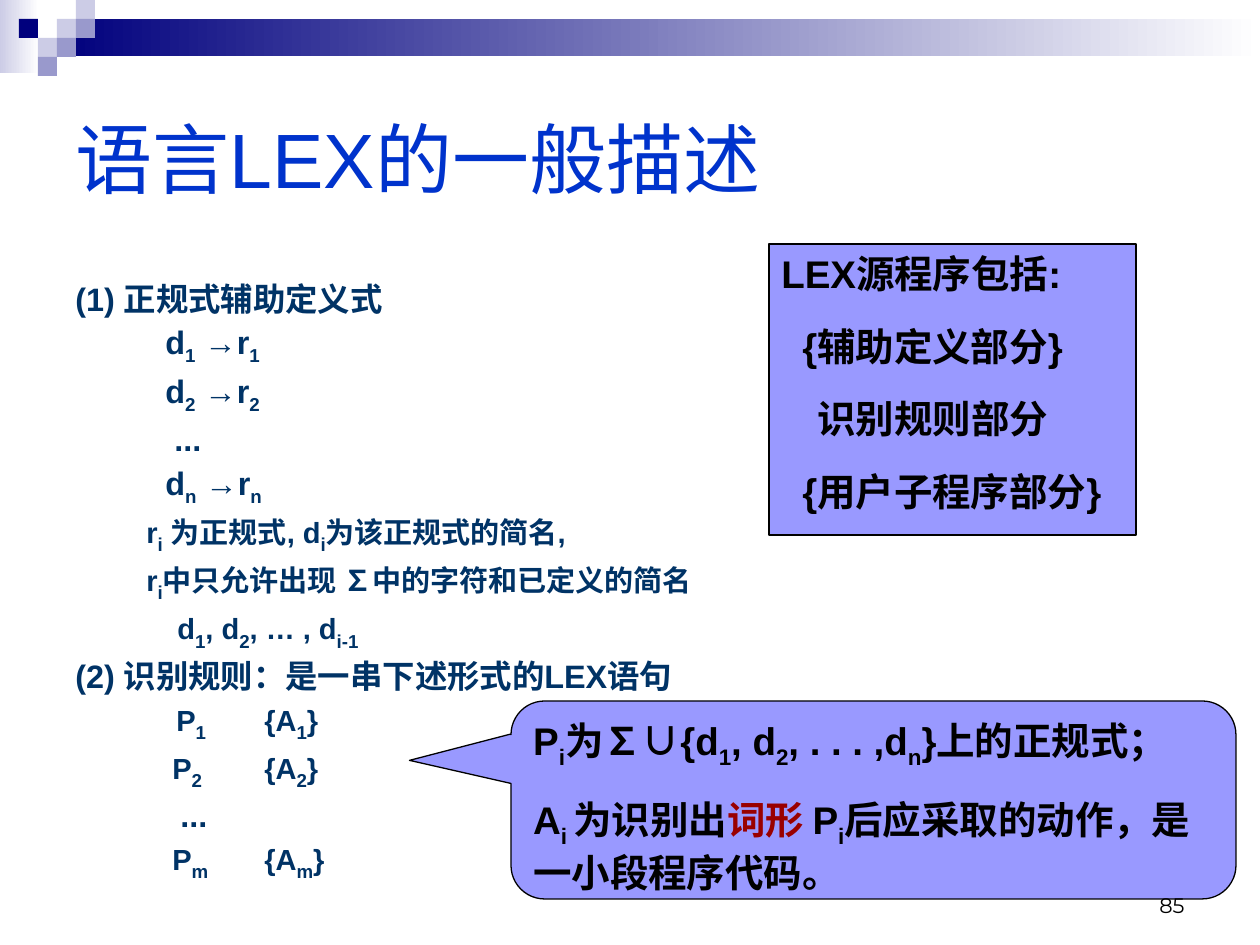
from dataclasses import dataclass

from lxml.etree import SubElement
from pptx import Presentation
from pptx.dml.color import RGBColor
from pptx.enum.shapes import MSO_SHAPE as Preset
from pptx.enum.text import MSO_ANCHOR as Anchor, PP_ALIGN as Align
from pptx.oxml.ns import qn
from pptx.shapes.autoshape import Shape
from pptx.slide import Slide
from pptx.util import Emu, Pt

PX_PER_INCH = 126
SQUARE = 19
COLORS = {
    "navy": "00007D", "white": "FFFFFF", "pale": "CCCCE6", "lavender": "9999CC",
    "title": "0033CC", "body": "003366", "panel": "9999FF", "black": "000000",
    "accent": "990000",
}


@dataclass(frozen=True)
class Box:
    left: int
    top: int
    width: int
    height: int


@dataclass(frozen=True)
class Line:
    text: str
    size: float
    color: str = "black"
    indent: int = 0
    tab: int = 0
    before: float = 0
    after: float = 0
    bold: bool = True
    font: str = "Arial"
    align: Align = Align.LEFT
    sub_size: float = 0


@dataclass(frozen=True)
class Square:
    column: int
    row: int
    color: str


SQUARES = [
    Square(3, 1, "pale"), Square(4, 0, "pale"), Square(4, 1, "lavender"),
    Square(2, 2, "pale"), Square(1, 1, "navy"), Square(3, 2, "lavender"),
    Square(2, 3, "lavender"),
]


def px(length: int) -> Emu:
    return Emu(round(length * 914400 / PX_PER_INCH))


def rgb(name: str) -> RGBColor:
    return RGBColor.from_string(COLORS[name])


def place(box: Box) -> tuple[Emu, ...]:
    return px(box.left), px(box.top), px(box.width), px(box.height)


def add_preset(slide: Slide, preset: Preset, box: Box, color: str, outlined: bool = False) -> Shape:
    shape = slide.shapes.add_shape(preset, *place(box))
    shape.shadow.inherit = False
    shape.fill.solid()
    shape.fill.fore_color.rgb = rgb(color)
    if outlined:
        shape.line.color.rgb = rgb("black")
        shape.line.width = Pt(0.75)
    else:
        shape.line.fill.background()
    return shape


def add_gradient(slide: Slide, box: Box, start: str, end: str) -> None:
    fill = add_preset(slide, Preset.RECTANGLE, box, start).fill
    fill.gradient()
    fill.gradient_angle = 0
    for stop, color in zip(fill.gradient_stops, (start, end)):
        stop.color.rgb = rgb(color)


def write(shape: Shape, lines: list[Line], anchor: Anchor = Anchor.TOP) -> None:
    """Write lines into a shape; _x_ marks a subscript and |x| marks accented text."""
    frame = shape.text_frame
    frame.word_wrap = True
    frame.vertical_anchor = anchor
    for index, line in enumerate(lines):
        paragraph = frame.add_paragraph() if index else frame.paragraphs[0]
        properties = paragraph._p.get_or_add_pPr()
        properties.set("marL", "0")
        properties.set("indent", str(px(line.indent)))
        if line.tab:
            tabs = SubElement(properties, qn("a:tabLst"))
            SubElement(tabs, qn("a:tab"), pos=str(px(line.tab)), algn="l")
        paragraph.alignment = line.align
        paragraph.space_before = Pt(line.before if index else 0)
        paragraph.space_after = Pt(line.after)
        paragraph.font.name = line.font
        paragraph.font.size = Pt(line.size)
        paragraph.font.bold = line.bold
        paragraph.font.color.rgb = rgb(line.color)
        for position, part in enumerate(line.text.split("|")):
            for level, text in enumerate(part.split("_")):
                if not text:
                    continue
                run = paragraph.add_run()
                run.text = text
                if position % 2:
                    run.font.color.rgb = rgb("accent")
                if level % 2:
                    run._r.get_or_add_rPr().set("baseline", "-25000")
                    if line.sub_size:
                        run.font.size = Pt(line.sub_size)


def add_text(slide: Slide, box: Box, lines: list[Line], anchor: Anchor = Anchor.TOP) -> None:
    write(slide.shapes.add_textbox(*place(box)), lines, anchor)


def major(text: str, indent: int = 0) -> Line:
    return Line(text, 18.5, "body", indent, before=2.5)


def minor(text: str, indent: int, tab: int = 0, before: float = 2.2) -> Line:
    return Line(text, 16.6, "body", indent, tab, before, sub_size=18.5)


def panel_line(text: str, indent: int = 0, after: float = 15.1) -> Line:
    return Line(text, 22, indent=indent, after=after)


def main() -> None:
    presentation = Presentation()
    presentation.slide_width, presentation.slide_height = px(1260), px(945)
    slide = presentation.slides.add_slide(presentation.slide_layouts[6])

    add_gradient(slide, Box(0, 0, 39, 73), "pale", "white")
    add_gradient(slide, Box(57, 19, 1203, 37), "navy", "white")
    for square in SQUARES:
        box = Box(square.column * SQUARE, square.row * SQUARE, SQUARE, SQUARE)
        add_preset(slide, Preset.RECTANGLE, box, square.color)

    title = Line("语言LEX的一般描述", 44, "title", bold=False)
    add_text(slide, Box(63, 63, 1134, 189), [title], Anchor.MIDDLE)
    add_text(slide, Box(63, 273, 1134, 636), [
        major("(1) 正规式辅助定义式"),
        major("d_1_ →r_1_", 90),
        major("d_2_ →r_2_", 90),
        major("...", 99),
        major("d_n_ →r_n_", 90),
        minor("r_i_ 为正规式, d_i_为该正规式的简名,", 71),
        minor("r_i_中只允许出现 ∑中的字符和已定义的简名", 71),
        minor("d_1_, d_2_, … , d_i-1_", 102, before=2.5),
        major("(2) 识别规则：是一串下述形式的LEX语句"),
        minor("P_1_\t{A_1_}", 101, 195),
        minor("P_2_\t{A_2_}", 97, 191),
        major("...", 105),
        minor("P_m_\t{A_m_}", 97, 189),
    ])

    source_parts = add_preset(slide, Preset.RECTANGLE, Box(769, 244, 367, 291), "panel", True)
    write(source_parts, [
        panel_line("LEX源程序包括:"),
        panel_line("{辅助定义部分}", 21),
        panel_line("识别规则部分", 36),
        panel_line("{用户子程序部分}", 21),
    ])

    callout_box = Box(511, 701, 725, 198)
    callout = add_preset(slide, Preset.ROUNDED_RECTANGULAR_CALLOUT, callout_box, "panel", True)
    for index, value in enumerate((-0.64, -0.2, 0.17)):
        callout.adjustments[index] = value
    write(callout, [
        panel_line("P_i_为∑∪{d_1_, d_2_, . . . ,d_n_}上的正规式；"),
        panel_line("A_i _为识别出|词形 |P_i_后应采取的动作，是一小段程序代码。", after=0),
    ])

    number = Line("85", 12, bold=False, font="Montserrat", align=Align.RIGHT)
    add_text(slide, Box(903, 861, 294, 63), [number], Anchor.BOTTOM)
    presentation.save("out.pptx")


if __name__ == "__main__":
    main()
